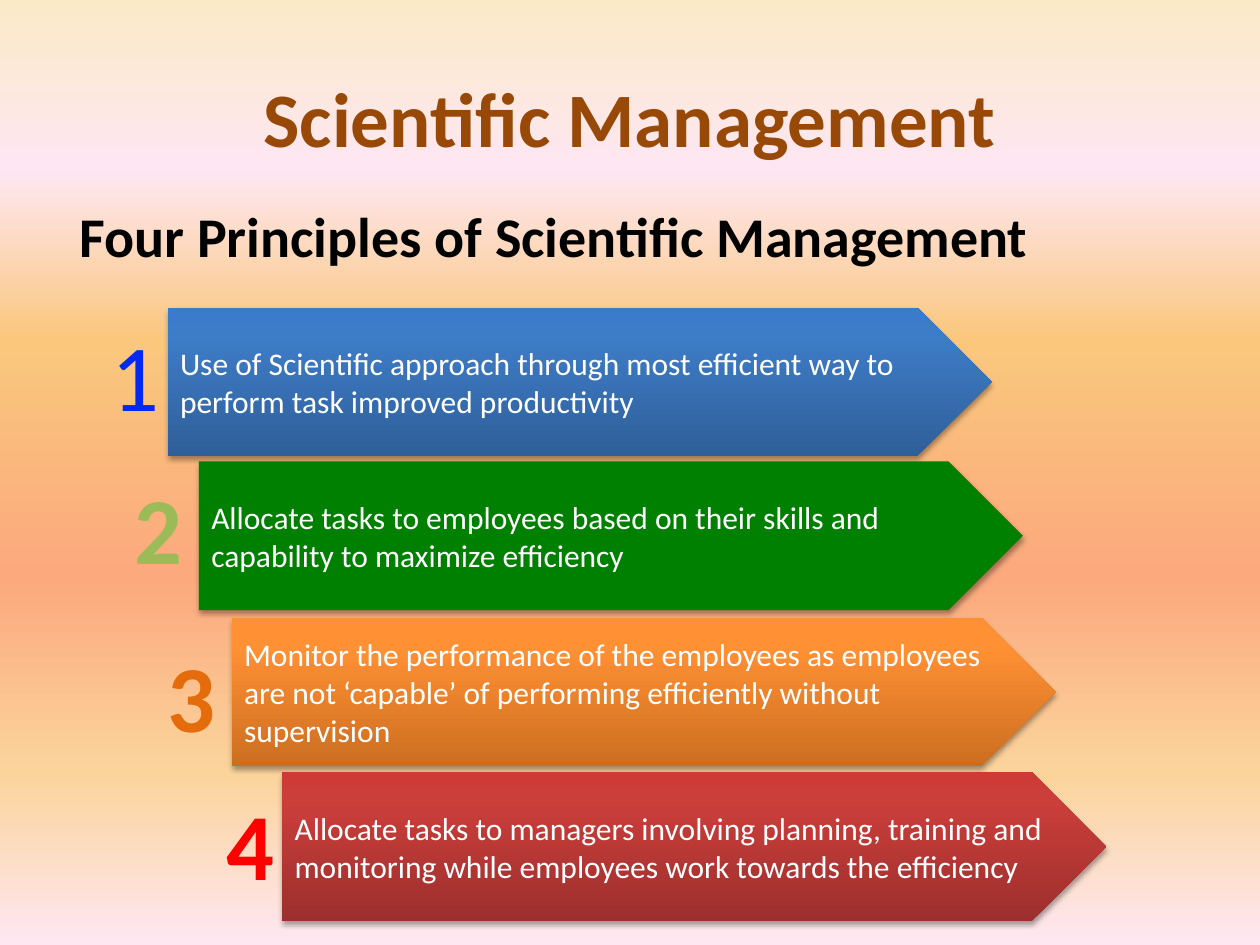
import pptx
import pptx.util
import pptx.dml.color
import pptx.enum.shapes
import pptx.enum.text
import pptx.oxml.ns
import lxml.etree

Cm = pptx.util.Cm
Pt = pptx.util.Pt
ALIGN = pptx.enum.text.PP_ALIGN
ANCHOR = pptx.enum.text.MSO_ANCHOR
qn = pptx.oxml.ns.qn

SKY = [(0, "FBEAC7"), (18, "FEE7F2"), (36, "FAC77D"),
       (61, "FBA97D"), (82, "FBD49C"), (100, "FEE7F2")]
BLUE = [(0, "2F5F99"), (80, "3D7CC7"), (100, "3A7CCB")]
ORANGE = [(0, "CC6E20"), (80, "FF9034"), (100, "FF9136")]
RED = [(0, "9C2F2D"), (80, "CB3E3A"), (100, "CE3B37")]

STEPS = [
    ("1", "0029F6", False, 1.98, 6.27, 3.38, 6.2, BLUE,
     "Use of Scientific approach through most efficient way to perform task improved productivity"),
    ("2", "9BBB59", True, 2.44, 9.35, 4.01, 9.3, "008000",
     "Allocate tasks to employees based on their skills and capability to maximize efficiency"),
    ("3", "E46C0A", True, 3.12, 12.73, 4.67, 12.45, ORANGE,
     "Monitor the performance of the employees as employees are not ‘capable’ of performing efficiently without supervision"),
    ("4", "FF0000", True, 4.29, 15.72, 5.69, 15.57, RED,
     "Allocate tasks to managers involving planning, training and monitoring while employees work towards the efficiency"),
]


def color(code):
    return pptx.dml.color.RGBColor.from_string(code)


def add(node, tag, **attrs):
    return lxml.etree.SubElement(node, qn(tag), attrs)


def blend(fill, node, stops, angle):
    fill.gradient()
    fill.gradient_angle = angle
    chain = node.find(".//" + qn("a:gsLst"))
    for old in list(chain):
        chain.remove(old)
    for place, code in stops:
        stop = add(chain, "a:gs", pos=str(place * 1000))
        add(stop, "a:srgbClr", val=code)


class Deck:
    font = "Calibri"

    def __init__(self, show):
        self.slide = show.slides.add_slide(show.slide_layouts[5])

    def back(self, stops):
        blend(self.slide.background.fill, self.slide.element, stops, 270)

    def letter(self, frame, text, size, code, bold=False, align=ALIGN.LEFT):
        frame.text = text
        line = frame.paragraphs[0]
        line.alignment = align
        font = line.runs[0].font
        font.name = self.font
        font.size = Pt(size)
        font.bold = bold
        font.color.rgb = color(code)
        return line.runs[0]

    def title(self, text, left, top, width, height):
        shape = self.slide.shapes.title
        shape.left, shape.top = Cm(left), Cm(top)
        shape.width, shape.height = Cm(width), Cm(height)
        shape.text_frame.vertical_anchor = ANCHOR.MIDDLE
        self.letter(shape.text_frame, text, 44, "984807", True, ALIGN.CENTER)

    def label(self, text, left, top, width, height, size, code,
              bold=True, align=ALIGN.LEFT, wrap=True):
        box = self.slide.shapes.add_textbox(
            Cm(left), Cm(top), Cm(width), Cm(height))
        box.text_frame.word_wrap = wrap
        return self.letter(box.text_frame, text, size, code, bold, align)

    def digit(self, text, left, top, code, bold):
        run = self.label(text, left, top, 1.5, 2.57, 54, code,
                         bold, ALIGN.CENTER, False)
        if bold:
            run._r.get_or_add_rPr().set("spc", "50")

    def arrow(self, text, left, top, paint):
        shape = self.slide.shapes.add_shape(
            pptx.enum.shapes.MSO_SHAPE.PENTAGON,
            Cm(left), Cm(top), Cm(16.61), Cm(3))
        if isinstance(paint, str):
            shape.fill.solid()
            shape.fill.fore_color.rgb = color(paint)
        else:
            blend(shape.fill, shape.element, paint, 90)
        shape.line.fill.background()
        self.shade(shape)
        shape.text_frame.word_wrap = True
        shape.text_frame.vertical_anchor = ANCHOR.MIDDLE
        self.letter(shape.text_frame, text, 18, "FFFFFF")

    def shade(self, shape):
        shape.shadow.inherit = False
        group = shape.element.spPr.find(qn("a:effectLst"))
        cast = add(group, "a:outerShdw", blurRad=str(Pt(3.1)),
                   dist=str(Pt(1.8)), dir="5400000", rotWithShape="0")
        tint = add(cast, "a:srgbClr", val="000000")
        add(tint, "a:alpha", val="35000")


def main():
    show = pptx.Presentation()
    show.slide_width, show.slide_height = Cm(25.4), Cm(19.05)
    deck = Deck(show)
    deck.back(SKY)
    deck.title("Scientific Management", 1.27, 0.76, 22.86, 3.18)
    deck.label("Four Principles of Scientific Management",
               1.35, 3.94, 22.86, 12.57, 32, "000000")
    for mark, code, bold, x, y, left, top, paint, text in STEPS:
        deck.arrow(text, left, top, paint)
        deck.digit(mark, x, y, code, bold)
    show.save("out.pptx")


if __name__ == "__main__":
    main()
